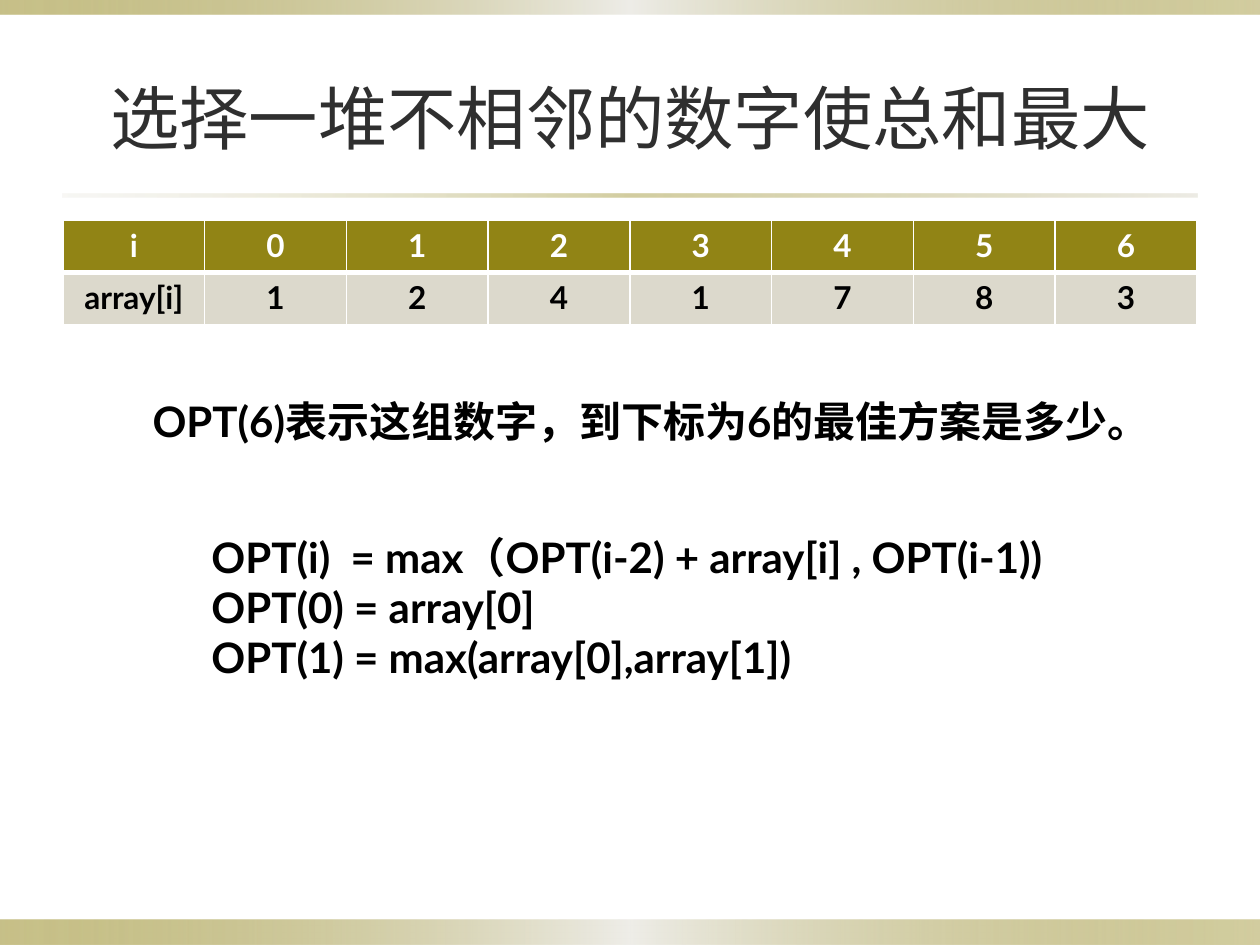
from lxml import etree
from pptx import Presentation
from pptx.dml.color import RGBColor
from pptx.enum.shapes import MSO_SHAPE
from pptx.enum.text import MSO_ANCHOR, PP_ALIGN
from pptx.oxml import parse_xml
from pptx.oxml.ns import nsdecls, qn
from pptx.util import Emu, Pt

EMU_PER_PX = 914400 / 126
FONT = "Lato"
OLIVE, STONE, PALE = "918415", "DCD9CC", "EEEDE8"
WHITE, BLACK, CHARCOAL = "FFFFFF", "000000", "2F2F2F"
BAR_STOPS = [(0, OLIVE, 50), (50, PALE, 100), (100, OLIVE, 40)]
RULE_STOPS = [(0, STONE, 20), (50, OLIVE, 40), (100, STONE, 50)]

INDEX_ROW = ["i", *map(str, range(7))]
VALUE_ROW = ["array[i]", "1", "2", "4", "1", "7", "8", "3"]
MEANING = ["OPT(6)表示这组数字，到下标为6的最佳方案是多少。"]
RECURRENCE = [
    "OPT(i)  = max（OPT(i-2) + array[i] , OPT(i-1))",
    "OPT(0) = array[0]",
    "OPT(1) = max(array[0],array[1])",
]


def px(length):
    return Emu(round(length * EMU_PER_PX))


def color(hex_code):
    return RGBColor.from_string(hex_code)


def write(paragraph, text, size, hex_code, bold=True, align=PP_ALIGN.CENTER):
    paragraph.alignment = align
    run = paragraph.add_run()
    run.text = text
    font = run.font
    font.name, font.size, font.bold = FONT, Pt(size), bold
    font.color.rgb = color(hex_code)


def add_gradient_bar(slide, left, top, width, height, stops):
    """Add a horizontal gradient; stops are (position, colour, opacity) in percent."""
    bar = slide.shapes.add_shape(
        MSO_SHAPE.RECTANGLE, px(left), px(top), px(width), px(height))
    bar.shadow.inherit = False
    bar.line.fill.background()
    stop_xml = "".join(
        f'<a:gs pos="{position * 1000}"><a:srgbClr val="{hex_code}">'
        f'<a:alpha val="{opacity * 1000}"/></a:srgbClr></a:gs>'
        for position, hex_code, opacity in stops)
    gradient = parse_xml(
        f'<a:gradFill {nsdecls("a")} rotWithShape="1"><a:gsLst>{stop_xml}</a:gsLst>'
        '<a:lin ang="0" scaled="0"/></a:gradFill>')
    bar._element.spPr.find(qn("a:prstGeom")).addnext(gradient)


def set_title(slide, text):
    title = slide.shapes.title
    title.left, title.top, title.width, title.height = map(px, (63, 38, 1134, 157))
    title.text_frame.vertical_anchor = MSO_ANCHOR.MIDDLE
    write(title.text_frame.paragraphs[0], text, 39.6, CHARCOAL, bold=False)


def set_borders(cell, widths):
    """Draw white borders; widths are points for left, right, top, bottom."""
    properties = cell._tc.get_or_add_tcPr()
    for position, (side, width) in enumerate(zip(("lnL", "lnR", "lnT", "lnB"), widths)):
        border = etree.Element(qn(f"a:{side}"), w=str(Pt(width)))
        fill = etree.SubElement(border, qn("a:solidFill"))
        etree.SubElement(fill, qn("a:srgbClr"), val=WHITE)
        properties.insert(position, border)


def add_array_table(slide, left, top, width, height):
    rows = [
        (INDEX_ROW, OLIVE, WHITE, (1, 1, 1, 3)),
        (VALUE_ROW, STONE, BLACK, (1, 1, 3, 1)),
    ]
    table = slide.shapes.add_table(
        len(rows), len(INDEX_ROW), px(left), px(top), px(width), px(height)).table
    for row, (texts, fill, text_color, borders) in zip(table.rows, rows):
        for cell, text in zip(row.cells, texts):
            cell.fill.solid()
            cell.fill.fore_color.rgb = color(fill)
            set_borders(cell, borders)
            write(cell.text_frame.paragraphs[0], text, 18, text_color)


def add_text(slide, left, top, width, height, lines, align):
    frame = slide.shapes.add_textbox(
        px(left), px(top), px(width), px(height)).text_frame
    frame.word_wrap = True
    for number, line in enumerate(lines):
        paragraph = frame.add_paragraph() if number else frame.paragraphs[0]
        write(paragraph, line, 24, BLACK, align=align)


def main():
    presentation = Presentation()
    presentation.slide_width, presentation.slide_height = px(1260), px(945)
    slide = presentation.slides.add_slide(presentation.slide_layouts[5])

    add_gradient_bar(slide, 0, 920, 1260, 25, BAR_STOPS)
    add_gradient_bar(slide, 0, 0, 1260, 15, BAR_STOPS)
    add_gradient_bar(slide, 63, 194, 1134, 3, RULE_STOPS)
    set_title(slide, "选择一堆不相邻的数字使总和最大")
    add_array_table(slide, 63, 220, 1134, 105)
    add_text(slide, 121, 389, 1018, 63, MEANING, PP_ALIGN.CENTER)
    add_text(slide, 199, 525, 862, 165, RECURRENCE, PP_ALIGN.LEFT)

    presentation.save("out.pptx")


if __name__ == "__main__":
    main()
